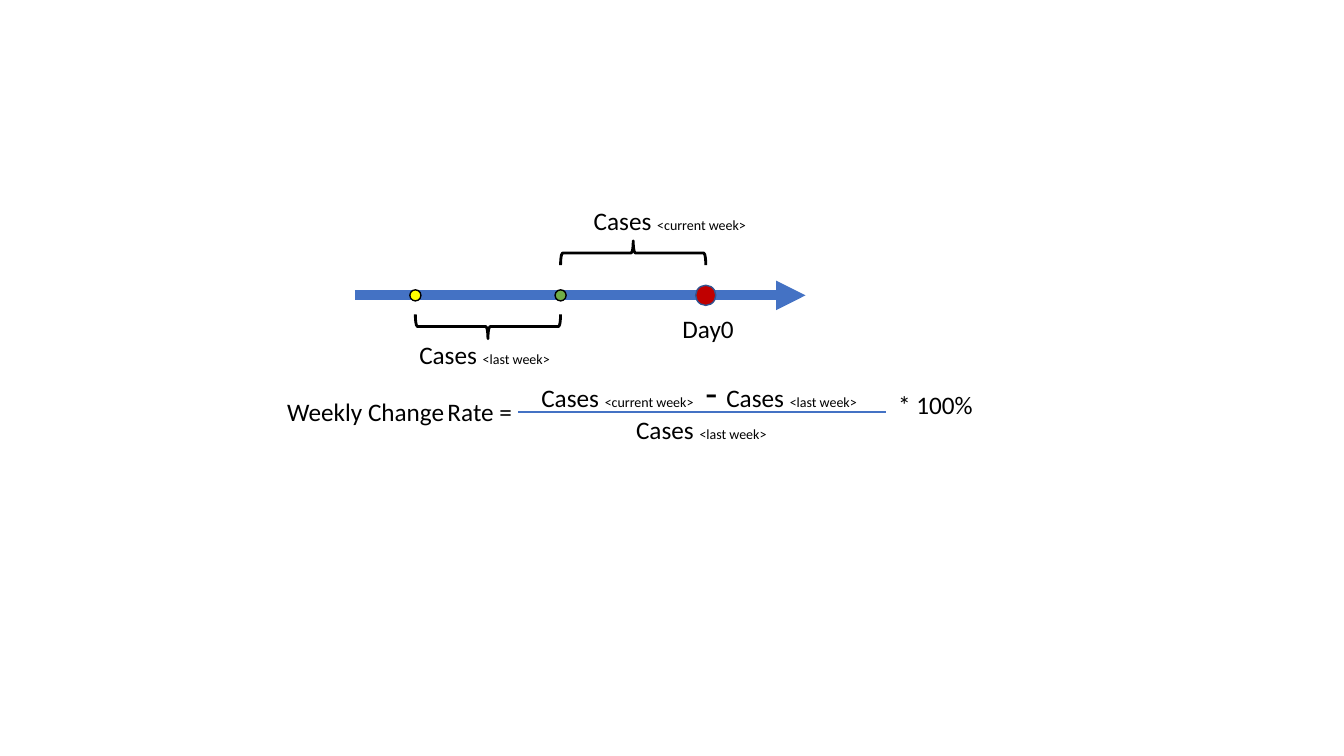
from lxml import etree
from pptx import Presentation
from pptx.dml.color import RGBColor
from pptx.enum import shapes, text
from pptx.oxml.ns import qn
from pptx.util import Inches, Pt

BLUE = RGBColor(0x44, 0x72, 0xC4)
DARK_BLUE = RGBColor(0x32, 0x54, 0x91)
RED = RGBColor(0xC0, 0x00, 0x00)
GREEN = RGBColor(0x70, 0xAD, 0x47)
YELLOW = RGBColor(0xFF, 0xFF, 0x00)
BLACK = RGBColor(0x00, 0x00, 0x00)

CURRENT_WEEK = [("Cases ", 18), ("<current week>", 10)]
LAST_WEEK = [("Cases ", 18), ("<last week>", 10)]


def add_text(parent, pieces, left, top, width, height=0.4, font="Calibri", color=BLACK):
    """Add one line of text made of (wording, size) pieces."""
    box = parent.shapes.add_textbox(Inches(left), Inches(top), Inches(width), Inches(height))
    frame = box.text_frame
    frame.word_wrap = True
    frame.auto_size = text.MSO_AUTO_SIZE.SHAPE_TO_FIT_TEXT
    for wording, size in pieces:
        run = frame.paragraphs[0].add_run()
        run.text = wording
        run.font.name = font
        run.font.size = Pt(size)
        run.font.color.rgb = color


def add_rule(parent, left, right, y, weight):
    """Add a horizontal blue line without a shadow."""
    rule = parent.shapes.add_connector(
        shapes.MSO_CONNECTOR.STRAIGHT, Inches(left), Inches(y), Inches(right), Inches(y))
    rule.line.color.rgb = BLUE
    rule.line.width = Pt(weight)
    etree.SubElement(rule._element.spPr, qn("a:effectLst"))
    return rule


deck = Presentation()
deck.slide_width = Inches(13.33)
deck.slide_height = Inches(7.5)
slide = deck.slides.add_slide(deck.slide_layouts[6])

# Timeline arrow
timeline_y = 2.93
timeline = add_rule(slide, 3.52, 7.99, timeline_y, 7)
etree.SubElement(timeline.line._get_or_add_ln(), qn("a:tailEnd"), type="triangle")

# Days on the timeline, one week apart
week = 1.44
day0 = 7.0
week_start, last_week_start = day0 - week, day0 - 2 * week
for day, size, fill, outline in [
    (day0, 0.2, RED, DARK_BLUE),
    (week_start, 0.11, GREEN, BLACK),
    (last_week_start, 0.11, YELLOW, BLACK),
]:
    marker = slide.shapes.add_shape(
        shapes.MSO_SHAPE.OVAL, Inches(day - size / 2), Inches(timeline_y - size / 2),
        Inches(size), Inches(size))
    marker.shadow.inherit = False
    marker.fill.solid()
    marker.fill.fore_color.rgb = fill
    marker.line.color.rgb = outline
    marker.line.width = Pt(1)

# Braces over the current week and under the last week
depth = 0.24
for start, middle_y, turn in [(week_start, 2.51, 90), (last_week_start, 3.24, 270)]:
    brace = slide.shapes.add_shape(
        shapes.MSO_SHAPE.LEFT_BRACE, Inches(start + (week - depth) / 2),
        Inches(middle_y - week / 2), Inches(depth), Inches(week))
    brace.rotation = turn
    brace.shadow.inherit = False
    brace.fill.background()
    brace.line.color.rgb = BLACK
    brace.line.width = Pt(2)

# Timeline labels
add_text(slide, [("Day0", 18)], 6.67, 3.06, 0.79)
add_text(slide, CURRENT_WEEK, 5.79, 1.99, 1.98)
add_text(slide, LAST_WEEK, 4.06, 3.32, 1.98)

# Formula
formula = slide.shapes.add_group_shape()
add_text(formula, CURRENT_WEEK + [(" ", 10), (" - ", 28)] + LAST_WEEK, 5.27, 3.6, 3.41, 0.57)
add_text(formula, [("* 100%", 18)], 8.81, 3.81, 1.98)
add_rule(formula, 5.14, 8.79, 4.09, 1.75)
add_text(formula, LAST_WEEK, 6.21, 4.06, 1.59)
add_text(formula, [("Weekly Change", 18), (" ", 10), ("Rate =", 18)], 2.75, 3.88, 2.48)

deck.save("out.pptx")
